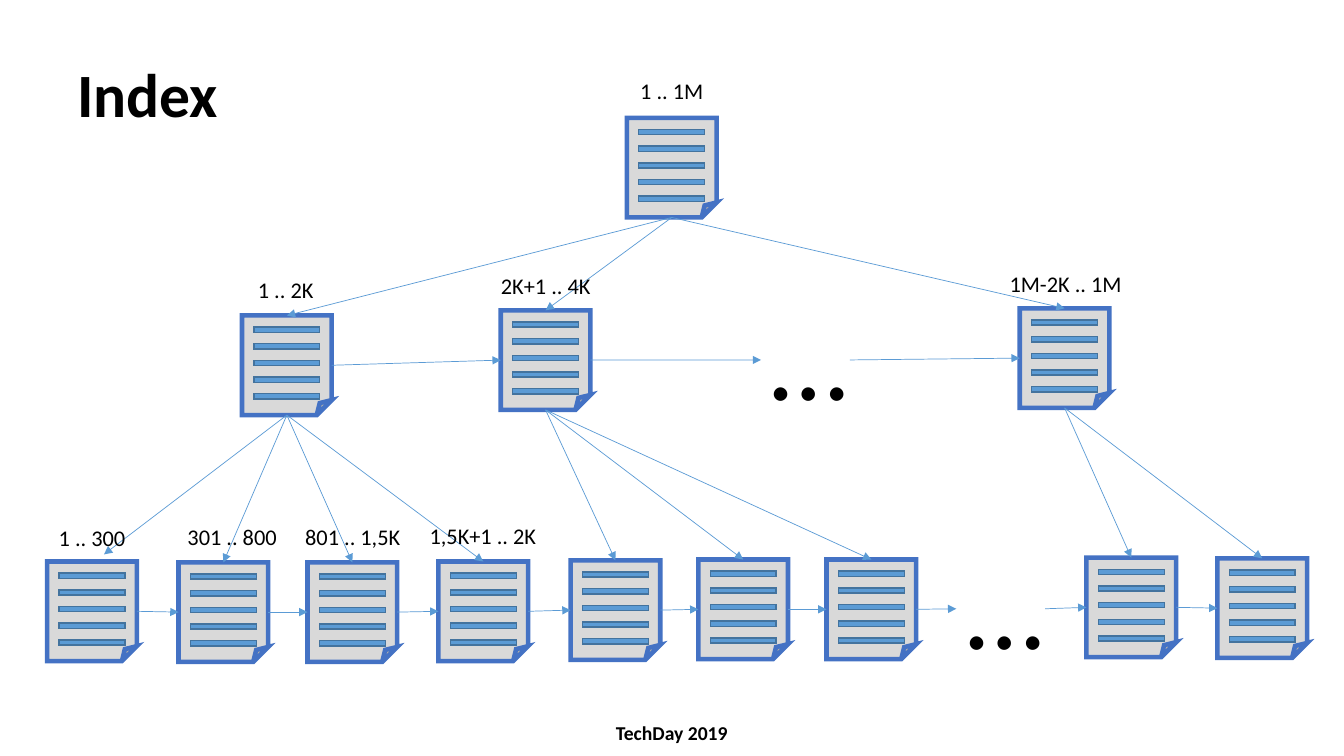
"""Draw an index tree of linked pages on one slide."""
from itertools import pairwise

from lxml import etree
from pptx import Presentation
from pptx import util as u
from pptx.dml.color import RGBColor
from pptx.enum import shapes, text
from pptx.oxml.ns import qn

COLORS = {"text": "000000", "page": "D9D9D9", "page_edge": "4472C4",
          "row": "5B9BD5", "row_edge": "43739E"}
TOP, LEFT, BOTTOM, RIGHT = range(4)
PAGE_W, PAGE_H = 2.26, 2.51
ROOT = (15.8, 2.97)
BRANCHES = [(6.1, 7.95), (12.62, 7.82), (25.7, 7.77)]
LEAVES = [(1.19, 14.15), (4.5, 14.17), (7.75, 14.17), (11.05, 14.15),
          (14.38, 14.12), (17.6, 14.1), (20.83, 14.1),
          (27.38, 14.05), (30.68, 14.07)]
LABELS = [("1 .. 1M", 15.47, 1.83, 2.92), ("1 .. 2K", 5.74, 6.83, 2.92),
          ("2K+1 .. 4K", 12.22, 6.73, 3.07),
          ("1M-2K .. 1M", 24.99, 6.68, 3.73),
          ("1 .. 300", 0.86, 13.08, 2.92), ("301 .. 800", 4.29, 13.06, 3.12),
          ("801 .. 1,5K", 7.24, 13.06, 3.3),
          ("1,5K+1 .. 2K", 10.24, 13.03, 3.86)]


def rgb(name):
    """Return a palette colour."""
    return RGBColor.from_string(COLORS[name])


def write(sp, content, size=16, bold=False, align=text.PP_ALIGN.CENTER,
          anchor=text.MSO_ANCHOR.TOP, grow=False):
    """Put one formatted line of text in a shape."""
    tf = sp.text_frame
    tf.word_wrap = True
    tf.vertical_anchor = anchor
    tf.auto_size = (text.MSO_AUTO_SIZE.SHAPE_TO_FIT_TEXT if grow
                    else text.MSO_AUTO_SIZE.NONE)
    p = tf.paragraphs[0]
    p.alignment = align
    r = p.add_run()
    r.text = content
    r.font.name = "Calibri"
    r.font.size = u.Pt(size)
    r.font.bold = bold
    r.font.color.rgb = rgb("text")


def add_text(s, content, x, y, w, h, **style):
    """Add a text box."""
    sp = s.shapes.add_textbox(u.Cm(x), u.Cm(y), u.Cm(w), u.Cm(h))
    write(sp, content, **style)
    return sp


def add_filled(group, kind, x, y, h, fill, edge, width):
    """Add a page-wide preset shape with a mitred outline to a group."""
    sp = group.shapes.add_shape(kind, u.Cm(x), u.Cm(y), u.Cm(PAGE_W), u.Cm(h))
    sp.shadow.inherit = False
    sp.fill.solid()
    sp.fill.fore_color.rgb = rgb(fill)
    sp.line.color.rgb = rgb(edge)
    sp.line.width = u.Pt(width)
    ln = sp.line._get_or_add_ln()
    etree.SubElement(ln, qn("a:miter"), lim="800000")
    return sp


def add_page(s, x, y):
    """Draw a grouped page with five rows and return its sheet."""
    group = s.shapes.add_group_shape()
    sheet = add_filled(group, shapes.MSO_SHAPE.FOLDED_CORNER, x, y, PAGE_H,
                       "page", "page_edge", 3.25)
    for i in range(5):
        add_filled(group, shapes.MSO_SHAPE.MATH_MINUS, x, y + 0.08 + 0.42 * i,
                   0.56, "row", "row_edge", 1)
    return sheet


def add_arrow(s, start, start_side, end=None, end_side=TOP, point=(0, 0)):
    """Draw an arrow from a shape to another shape or to a free point."""
    x, y = (u.Cm(v) for v in point)
    cxn = s.shapes.add_connector(shapes.MSO_CONNECTOR.STRAIGHT, x, y, x, y)
    cxn.begin_connect(start, start_side)
    if end is not None:
        cxn.end_connect(end, end_side)
    cxn.line.color.rgb = rgb("row")
    cxn.line.width = u.Pt(0.5)
    etree.SubElement(cxn.line._get_or_add_ln(), qn("a:tailEnd"),
                     type="triangle")
    etree.SubElement(cxn._element.spPr, qn("a:effectLst"))


def main():
    """Build and save the slide."""
    prs = Presentation()
    prs.slide_width, prs.slide_height = u.Cm(33.87), u.Cm(19.05)
    s = prs.slides.add_slide(prs.slide_layouts[5])
    middle = text.MSO_ANCHOR.MIDDLE
    add_text(s, "TechDay 2019", 9.45, 17.93, 14.96, 1.07, size=14, bold=True,
             anchor=middle)
    title = s.shapes.title
    title.left, title.top = u.Cm(1.7), u.Cm(0.76)
    title.width, title.height = u.Cm(30.48), u.Cm(3.18)
    write(title, "Index", size=44, bold=True, align=text.PP_ALIGN.LEFT,
          anchor=middle)

    root = add_page(s, *ROOT)
    branches = [add_page(s, *at) for at in BRANCHES]
    leaves = [add_page(s, *at) for at in LEAVES]
    branch_gap, leaf_gap = [
        add_text(s, "…", x, y, 2.24, 3.86, size=80, grow=True)
        for x, y in [(19.18, 7.14), (24.1, 13.41)]]

    for branch in branches:
        add_arrow(s, root, BOTTOM, branch)
    add_arrow(s, branches[0], BOTTOM, point=(2.62, 13.97))
    for branch, children in zip(branches,
                                [leaves[1:4], leaves[4:7], leaves[7:]]):
        for leaf in children:
            add_arrow(s, branch, BOTTOM, leaf)
    for level in (branches[:2] + [branch_gap] + branches[2:],
                  leaves[:7] + [leaf_gap] + leaves[7:]):
        for before, after in pairwise(level):
            add_arrow(s, before, RIGHT, after, LEFT)

    for label, x, y, w in LABELS:
        add_text(s, label, x, y, w, 0.94, grow=True)
    prs.save("out.pptx")


if __name__ == "__main__":
    main()
